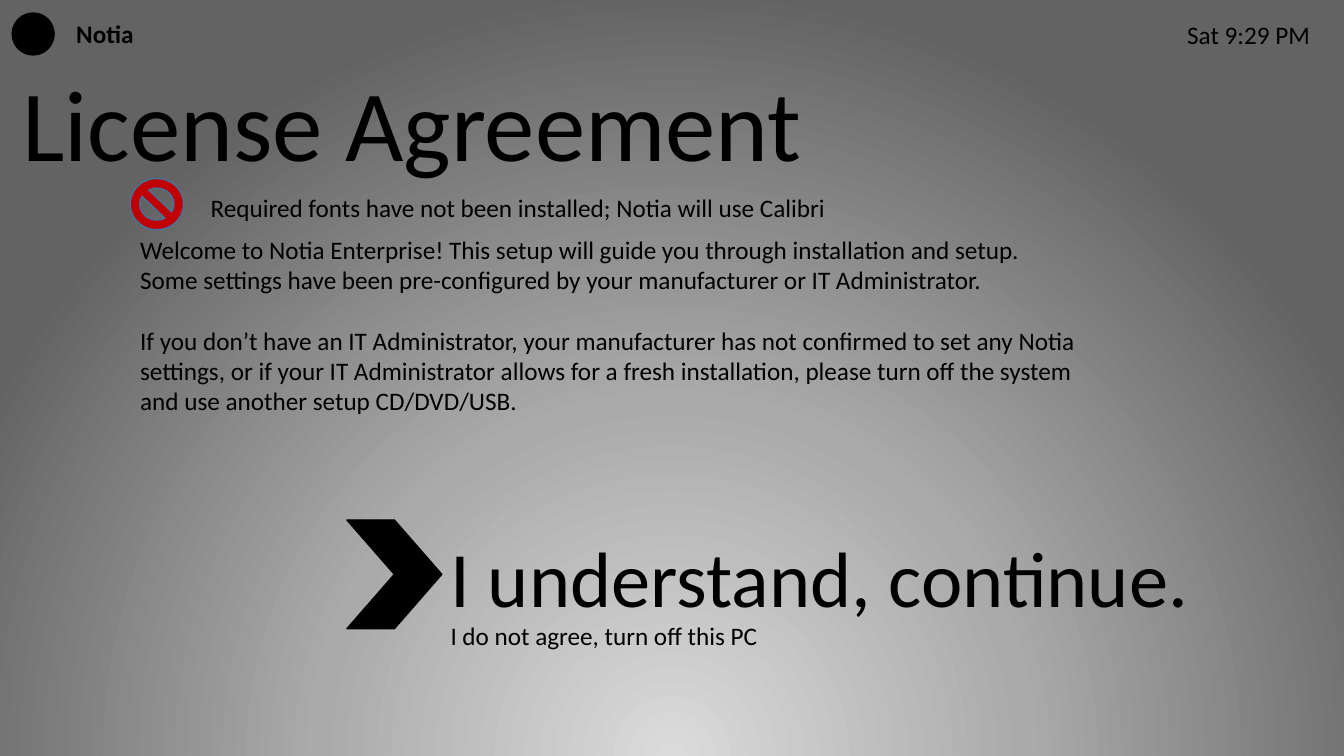
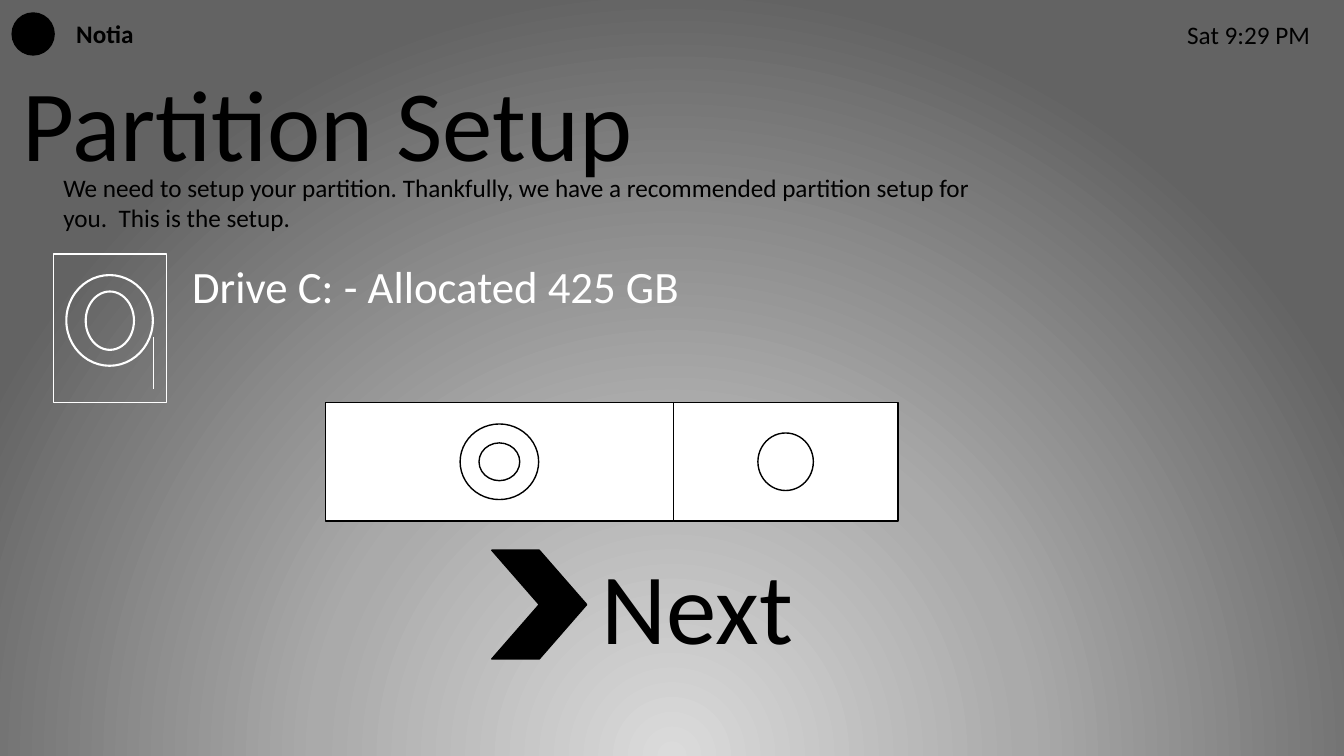
from dataclasses import dataclass
from lxml import etree
from pptx import Presentation
from pptx.dml.color import RGBColor
from pptx.enum.shapes import MSO_CONNECTOR, MSO_SHAPE
from pptx.enum.text import MSO_ANCHOR, MSO_AUTO_SIZE, PP_ALIGN
from pptx.oxml import parse_xml
from pptx.oxml.ns import nsdecls, qn
from pptx.util import Inches, Pt

BAN, CHEVRON = MSO_SHAPE.NO_SYMBOL, MSO_SHAPE.CHEVRON
OVAL, RECT, DONUT = MSO_SHAPE.OVAL, MSO_SHAPE.RECTANGLE, MSO_SHAPE.DONUT
LINE = MSO_CONNECTOR.STRAIGHT
TOP, LEFT, GROW = MSO_ANCHOR.TOP, PP_ALIGN.LEFT, MSO_AUTO_SIZE.SHAPE_TO_FIT_TEXT

COLS, ROWS = 32, 18
UNIT = Inches(7.5) / ROWS
TITLE_ONLY = 5


@dataclass(frozen=True)
class Theme:
    font: str = "Calibri"
    ink: str = "000000"
    paper: str = "FFFFFF"
    alert: str = "C00000"
    edge: str = "43739E"
    glow: tuple = ((0, "DBDBDB"), (46, "AAAAAA"), (100, "636363"))
    body: int = 18
    drive: int = 32
    action: int = 56
    title: int = 72


THEME = Theme()


def grid(*units):
    return [round(unit * UNIT) for unit in units]


def apply(target, values):
    for name, value in values.items():
        setattr(target, name, value)


def backdrop(master):
    stops = "".join(
        f'<a:gs pos="{pos * 1000}"><a:srgbClr val="{color}"/></a:gs>'
        for pos, color in THEME.glow
    )
    ground = parse_xml(
        f'<p:bg {nsdecls("p", "a")}><p:bgPr><a:gradFill rotWithShape="1">'
        f'<a:gsLst>{stops}</a:gsLst><a:path path="circle">'
        '<a:fillToRect l="50000" t="130000" r="50000" b="-30000"/></a:path>'
        '</a:gradFill><a:effectLst/></p:bgPr></p:bg>'
    )
    frame = master.element.cSld
    for old in frame.findall(qn("p:bg")):
        frame.remove(old)
    frame.insert(0, ground)


def write(box, lines, size, color=THEME.ink, bold=False, gaps=()):
    frame = box.text_frame
    apply(frame, {"word_wrap": True, "auto_size": GROW, "vertical_anchor": TOP})
    frame.text = "\n".join(lines)
    for index, para in enumerate(frame.paragraphs):
        apply(para, {"alignment": LEFT})
        if index in gaps:
            para.space_before = Pt(size * 1.22)
        apply(para.font, {"name": THEME.font, "size": Pt(size), "bold": bold})
        para.font.color.rgb = RGBColor.from_string(color)


def label(slide, area, *lines, size=THEME.body, **style):
    write(slide.shapes.add_textbox(*grid(*area)), lines, size, **style)


def shape(slide, kind, area, fill=THEME.ink, edge=THEME.ink, width=1):
    item = slide.shapes.add_shape(kind, *grid(*area))
    item.shadow.inherit = False
    if fill:
        item.fill.solid()
        item.fill.fore_color.rgb = RGBColor.from_string(fill)
    else:
        item.fill.background()
    item.line.color.rgb = RGBColor.from_string(edge)
    item.line.width = Pt(width)


def rule(slide, ends, color, width):
    item = slide.shapes.add_connector(LINE, *grid(*ends))
    item.line.color.rgb = RGBColor.from_string(color)
    item.line.width = Pt(width)
    etree.SubElement(item.element.spPr, qn("a:effectLst"))


def page(deck, title, width):
    slide = deck.slides.add_slide(deck.slide_layouts[TITLE_ONLY])
    head = slide.shapes.title
    area = grid(0.29, 1.32, width, 3.14)
    apply(head, dict(zip(("left", "top", "width", "height"), area)))
    write(head, [title], THEME.title)
    shape(slide, OVAL, (0.29, 0.31, 1, 1))
    label(slide, (1.58, 0.31, 3.67, 1), "Notia", bold=True)
    label(slide, (28.03, 0.34, 3.46, 0.96), "Sat 9:29 PM")
    return slide


def arrow(slide, left, top):
    shape(slide, CHEVRON, (left, top, 2.26, 2.59))


def disk(slide):
    for kind, area, width in (
        (OVAL, (1.58, 6.55, 2.06, 2.16), 1.5),
        (OVAL, (2.04, 6.94, 1.15, 1.39), 1.5),
        (RECT, (1.27, 6.05, 2.69, 3.53), 1),
    ):
        shape(slide, kind, area, None, THEME.paper, width)
    rule(slide, (3.64, 8.02, 3.64, 9.26), THEME.paper, 0.5)


def parts(slide, left, top, height, cells):
    for span, kind, wide, high in cells:
        shape(slide, RECT, (left, top, span, height), THEME.paper)
        spot = (left + (span - wide) / 2, top + (height - high) / 2, wide, high)
        shape(slide, kind, spot, THEME.paper)
        left += span


def license(deck):
    slide = page(deck, "License Agreement", 27.14)
    label(
        slide, (3.1, 5.45, 22.82, 4.61),
        "Welcome to Notia Enterprise! This setup will guide you through "
        "installation and setup.",
        "Some settings have been pre-configured by your manufacturer or "
        "IT Administrator.",
        "If you don’t have an IT Administrator, your manufacturer has not "
        "confirmed to set any Notia settings, or if your IT Administrator "
        "allows for a fresh installation, please turn off the system and use "
        "another setup CD/DVD/USB.",
        gaps=(2,),
    )
    shape(slide, BAN, (3.1, 4.25, 1.27, 1.22), THEME.alert, THEME.edge)
    label(slide, (4.78, 4.46, 15.34, 1.01),
          "Required fonts have not been installed; Notia will use Calibri")
    arrow(slide, 8.26, 12.38)
    label(slide, (10.49, 12.48, 18.74, 2.5), "I understand, continue.",
          size=THEME.action)
    label(slide, (10.49, 14.66, 10.13, 0.96), "I do not agree, turn off this PC")


def drive(deck):
    slide = page(deck, "Partition Setup", 19.01)
    label(slide, (1.27, 3.98, 22.82, 1.7),
          "We need to setup your partition. Thankfully, we have a recommended "
          "partition setup for you.  This is the setup.")
    disk(slide)
    label(slide, (4.34, 6.05, 14.95, 1.54), "Drive C: - Allocated 425 GB",
          size=THEME.drive, color=THEME.paper)
    parts(slide, 7.75, 9.58, 2.83,
          ((8.28, DONUT, 1.87, 1.8), (5.35, OVAL, 1.32, 1.37)))
    arrow(slide, 11.71, 13.1)
    label(slide, (14.09, 12.82, 9.1, 3.14), "Next", size=THEME.title)


def main():
    deck = Presentation()
    size = grid(COLS, ROWS)
    apply(deck, dict(zip(("slide_width", "slide_height"), size)))
    backdrop(deck.slide_master)
    license(deck)
    drive(deck)
    deck.save("out.pptx")


if __name__ == "__main__":
    main()
